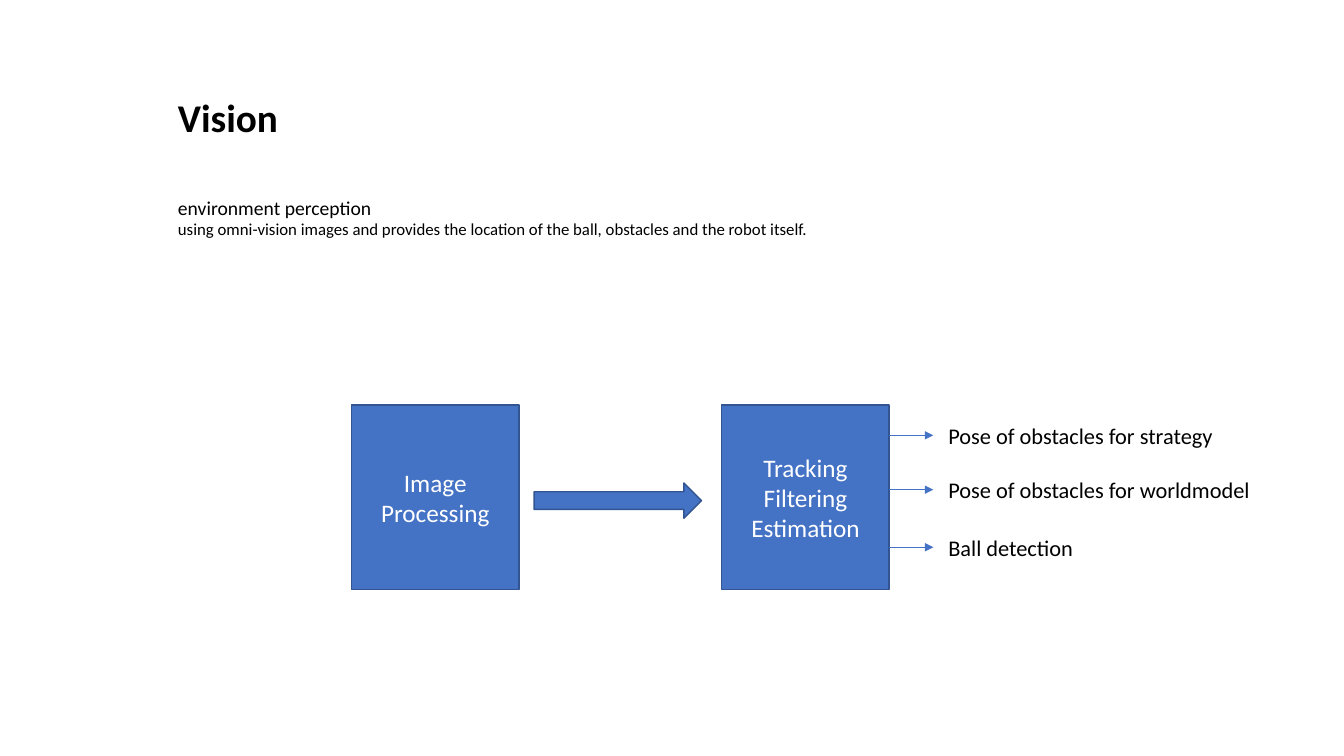
from lxml.etree import SubElement
from pptx import Presentation
from pptx.dml.color import RGBColor
from pptx.enum.shapes import MSO_CONNECTOR, MSO_SHAPE as SHAPE
from pptx.enum.text import MSO_ANCHOR as ANCHOR, MSO_AUTO_SIZE as AUTO, PP_ALIGN as ALIGN
from pptx.oxml.ns import qn
from pptx.util import Cm, Pt

COLORS = {"text": "000000", "inverse": "FFFFFF", "blue": "4472C4", "outline": "325491"}


def write(frame, lines, color, align=ALIGN.LEFT, bold=False, spacing=None):
    """Fill a text frame with (text, size) paragraphs."""
    frame.word_wrap = True
    for i, (text, size) in enumerate(lines):
        paragraph = frame.add_paragraph() if i else frame.paragraphs[0]
        paragraph.text = text
        paragraph.alignment = align
        paragraph.line_spacing = spacing
        paragraph.space_before = Pt(0)
        font = paragraph.font
        font.name, font.size, font.bold = "Calibri", Pt(size), bold
        font.color.rgb = RGBColor.from_string(COLORS[color])


def add_block(kind, left, top, width, height):
    """Add a blue outlined shape."""
    block = slide.shapes.add_shape(kind, Cm(left), Cm(top), Cm(width), Cm(height))
    block.shadow.inherit = False
    block.fill.solid()
    block.fill.fore_color.rgb = RGBColor.from_string(COLORS["blue"])
    block.line.color.rgb = RGBColor.from_string(COLORS["outline"])
    block.line.width = Pt(1)
    return block


deck = Presentation()
deck.slide_width, deck.slide_height = Cm(33.87), Cm(19.05)
slide = deck.slides.add_slide(deck.slide_layouts[0])

# Title and introduction
vision, perception = slide.placeholders
for holder, top, height, anchor in (
    (vision, 1.96, 1.73, ANCHOR.BOTTOM),
    (perception, 4.88, 11.02, ANCHOR.TOP),
):
    holder.left, holder.top = Cm(4.23), Cm(top)
    holder.width, holder.height = Cm(25.4), Cm(height)
    holder.text_frame.auto_size = AUTO.NONE
    holder.text_frame.vertical_anchor = anchor
write(vision.text_frame, [("Vision", 28)], "text", bold=True, spacing=0.9)
write(perception.text_frame, [
    ("environment perception", 14),
    ("using omni-vision images and provides the location of the ball, "
     "obstacles and the robot itself.", 12),
], "text", spacing=0.9)
perception.text_frame.paragraphs[1].space_before = Pt(1)

# Processing stages
stage_top, stage_width, stage_height = 10.21, 4.22, 4.65
tracking_left = 18.19
for left, lines in (
    (8.86, ["Image Processing"]),
    (tracking_left, ["Tracking", "Filtering", "Estimation"]),
):
    stage = add_block(SHAPE.RECTANGLE, left, stage_top, stage_width, stage_height)
    stage.text_frame.vertical_anchor = ANCHOR.MIDDLE
    write(stage.text_frame, [(line, 18) for line in lines], "inverse", ALIGN.CENTER)
add_block(SHAPE.RIGHT_ARROW, 13.46, 12.17, stage_width, 0.89)

# Outputs of the tracking stage
output_left = tracking_left + stage_width
for middle, result in (
    (10.97, "Pose of obstacles for strategy"),
    (12.34, "Pose of obstacles for worldmodel"),
    (13.79, "Ball detection"),
):
    arrow = slide.shapes.add_connector(
        MSO_CONNECTOR.STRAIGHT, Cm(output_left), Cm(middle), Cm(23.52), Cm(middle))
    arrow.line.color.rgb = RGBColor.from_string(COLORS["blue"])
    arrow.line.width = Pt(0.5)
    SubElement(arrow.line._get_or_add_ln(), qn("a:tailEnd"), type="triangle")
    SubElement(arrow._element.spPr, qn("a:effectLst"))

    label = slide.shapes.add_textbox(Cm(23.65), Cm(middle - 0.46), Cm(8.28), Cm(0.94))
    write(label.text_frame, [(result, 16)], "text")
    label.text_frame.auto_size = AUTO.SHAPE_TO_FIT_TEXT

deck.save("out.pptx")
